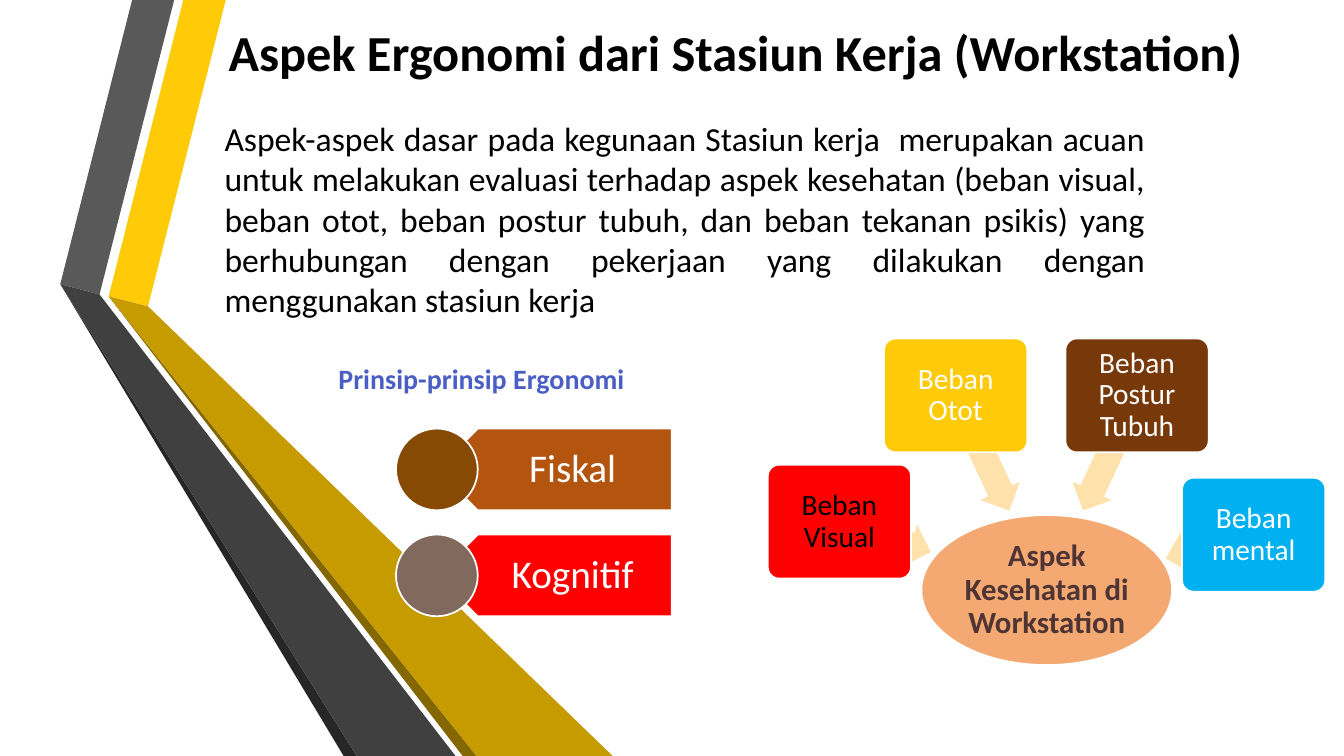
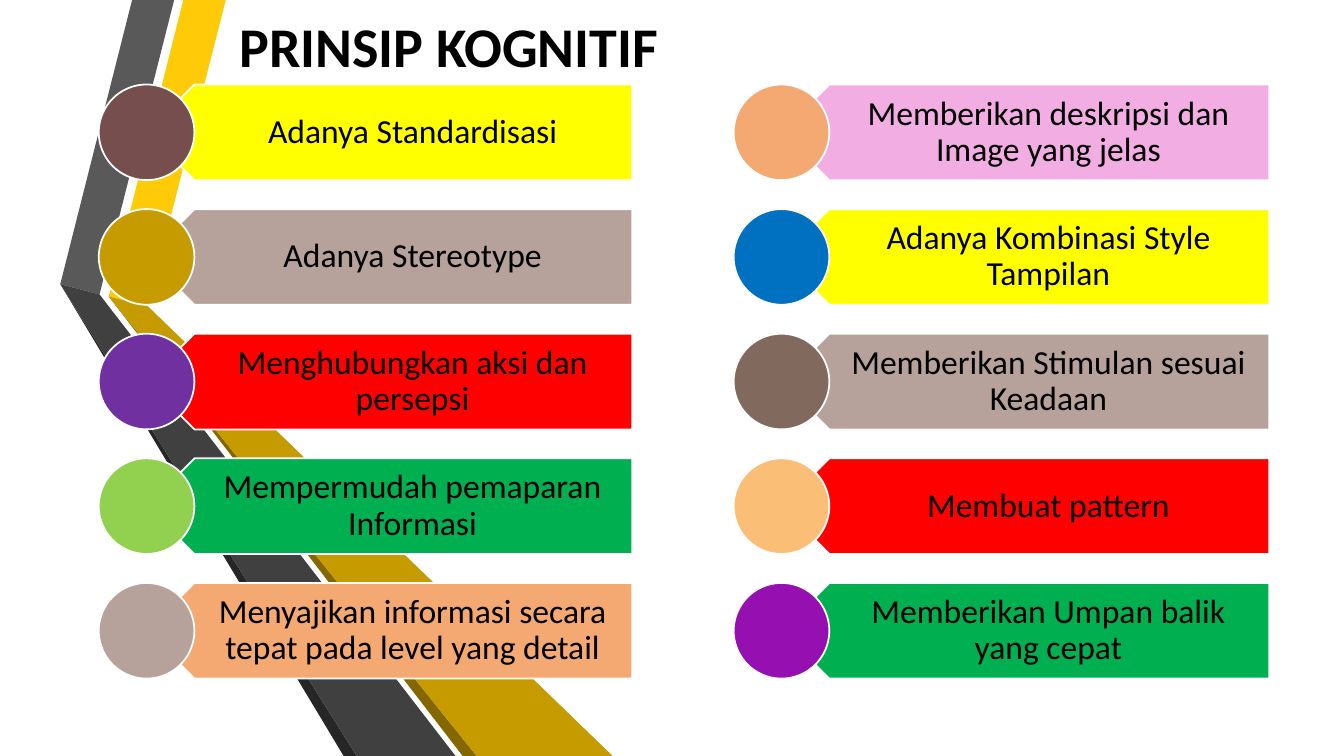
"""Builds two slides on workstation ergonomics and cognitive principles."""
import dataclasses

import pptx
import pptx.dml.color
import pptx.enum.shapes
import pptx.enum.text
import pptx.util

Cm = pptx.util.Cm
Shape = pptx.enum.shapes.MSO_SHAPE
Align = pptx.enum.text.PP_ALIGN
Anchor = pptx.enum.text.MSO_ANCHOR


@dataclasses.dataclass(frozen=True)
class Theme:
    font: str = "Calibri"
    white: str = "FFFFFF"
    black: str = "000000"
    heading: str = "4A5EC6"
    maroon: str = "4F3434"
    red: str = "FF0000"
    yellow: str = "FFFF00"
    green: str = "00B050"
    lime: str = "92D050"
    gold: str = "FFCA08"
    dark_gold: str = "C59B00"
    deep_gold: str = "846700"
    cream: str = "FFE1AB"
    apricot: str = "FBBE77"
    peach: str = "F4A973"
    rust: str = "B3540F"
    brown: str = "77380A"
    umber: str = "864A04"
    plum: str = "764E4E"
    taupe: str = "82695E"
    sand: str = "B6A29A"
    sky: str = "00B0F0"
    blue: str = "0070C0"
    pink: str = "F2AEE3"
    purple: str = "7030A0"
    violet: str = "960FB1"
    gray: str = "595959"
    charcoal: str = "404040"
    shade: str = "262626"
    outline: float = 1.25
    title_size: int = 36
    large_title_size: int = 40
    tag_size: int = 28
    body_size: int = 24
    hub_size: int = 22
    card_size: int = 21
    heading_size: int = 20


class Deck:
    def __init__(self, theme):
        self.theme = theme
        self.presentation = pptx.Presentation()
        self.presentation.slide_width = Cm(33.87)
        self.presentation.slide_height = Cm(19.05)
        self.slide = None

    def add_slide(self):
        layout = self.presentation.slide_layouts[6]
        self.slide = self.presentation.slides.add_slide(layout)
        self.ribbons()

    def ribbons(self):
        theme = self.theme
        gray_bend, gray_corner = (1.52, 7.16), (2.51, 7.42)
        gold_bend, gold_corner = (2.74, 7.47), (3.73, 7.72)
        gray_foot, gold_foot = (8.99, 19.05), (12.01, 19.05)
        for color, points in (
            (theme.gold, (gold_bend, gold_corner, (5.69, 0), (4.62, 0))),
            (theme.gray, (gray_corner, (4.39, 0), (3.33, 0), gray_bend)),
            (theme.shade, (gray_bend, (8.66, 19.05), gray_foot)),
            (theme.deep_gold, (gold_bend, gold_foot, (11.66, 19.05))),
            (theme.dark_gold, (gold_bend, gold_foot, (15.44, 19.05), gold_corner)),
            (theme.charcoal, (gray_bend, gray_foot, (11.48, 19.05), gray_corner)),
        ):
            corners = [(Cm(x), Cm(y)) for x, y in points]
            builder = self.slide.shapes.build_freeform(*corners[0])
            builder.add_line_segments(corners[1:], close=True)
            self.paint(builder.convert_to_shape(), color, outlined=False)

    def paint(self, shape, color, outlined=True):
        shape.shadow.inherit = False
        shape.fill.solid()
        shape.fill.fore_color.rgb = pptx.dml.color.RGBColor.from_string(color)
        if outlined:
            shape.line.color.rgb = pptx.dml.color.RGBColor.from_string(self.theme.white)
            shape.line.width = pptx.util.Pt(self.theme.outline)
        else:
            shape.line.fill.background()

    def figure(self, kind, box, color, rotation=0, outlined=True):
        shape = self.slide.shapes.add_shape(kind, *map(Cm, box))
        shape.rotation = rotation
        self.paint(shape, color, outlined)
        return shape

    def set_text(self, shape, text, size, color, bold=False, align=Align.CENTER,
                 anchor=Anchor.MIDDLE, insets=(0.25, 0.13, 0.25, 0.13), spacing=0.9):
        frame = shape.text_frame
        frame.word_wrap = True
        frame.vertical_anchor = anchor
        frame.margin_left, frame.margin_top, frame.margin_right, frame.margin_bottom = map(Cm, insets)
        paragraph = frame.paragraphs[0]
        paragraph.alignment = align
        paragraph.line_spacing = spacing
        run = paragraph.add_run()
        run.text = text
        run.font.name = self.theme.font
        run.font.size = pptx.util.Pt(size)
        run.font.bold = bold
        run.font.color.rgb = pptx.dml.color.RGBColor.from_string(color)

    def label(self, box, text, size, color, **style):
        self.set_text(self.slide.shapes.add_textbox(*map(Cm, box)), text, size, color, **style)

    def title(self, box, text, size):
        self.label(box, text, size, self.theme.black, bold=True,
                   align=Align.JUSTIFY, anchor=Anchor.BOTTOM, spacing=1)

    def hub(self, box, text):
        shape = self.figure(Shape.OVAL, box, self.theme.peach)
        self.set_text(shape, text, self.theme.hub_size, self.theme.maroon,
                      bold=True, insets=(0.05,) * 4)

    def arrow(self, left, top, length, rotation):
        shape = self.figure(Shape.LEFT_ARROW, (left, top, length, 1.09),
                            self.theme.cream, rotation, outlined=False)
        shape.adjustments[0] = 0.6
        shape.adjustments[1] = 0.5

    def card(self, left, top, text, fill, color):
        shape = self.figure(Shape.ROUNDED_RECTANGLE, (left, top, 3.61, 2.87), fill)
        shape.adjustments[0] = 0.1
        self.set_text(shape, text, self.theme.card_size, color, insets=(0.1,) * 4)

    def tags(self, left, top, diameter, width, pitch, size, color, items):
        plate_left = left + diameter / 2
        indent = diameter / 4
        for index, (text, plate_fill, disc_fill) in enumerate(items):
            y = top + index * pitch
            self.figure(Shape.PENTAGON, (plate_left, y, width, diameter), plate_fill, 180)
            self.label((plate_left + indent, y, width - indent, diameter), text, size, color,
                       insets=(0.44 * diameter, 0.25, 0.5, 0.25))
            self.figure(Shape.OVAL, (left, y, diameter, diameter), disc_fill)


def workstation_slide(deck):
    theme = deck.theme
    deck.add_slide()
    deck.title((5.51, 0.08, 28.35, 2.11),
               "Aspek Ergonomi dari Stasiun Kerja (Workstation)", theme.title_size)
    deck.hub((23.22, 12.98, 6.32, 3.78), "Aspek Kesehatan di Workstation")
    for arrow, card in (
        ((21.08, 12.98, 2.44, 198.3),
         (19.35, 11.71, "Beban Visual", theme.red, theme.black)),
        ((23.16, 10.87, 3.2, 245),
         (22.28, 8.53, "Beban Otot", theme.gold, theme.white)),
        ((26.37, 10.87, 3.2, 295),
         (26.85, 8.53, "Beban Postur Tubuh", theme.brown, theme.white)),
        ((29.34, 13.23, 2.29, 345),
         (29.79, 12.04, "Beban mental", theme.sky, theme.white)),
    ):
        deck.arrow(*arrow)
        deck.card(*card)
    deck.tags(9.98, 10.8, 2.06, 5.92, 2.67, theme.tag_size, theme.white, (
        ("Fiskal", theme.rust, theme.umber),
        ("Kognitif", theme.red, theme.taupe),
    ))
    deck.label((7.92, 8.97, 8.43, 1.12), "Prinsip-prinsip Ergonomi",
               theme.heading_size, theme.heading, bold=True, anchor=Anchor.TOP, spacing=1)
    deck.label(
        (5.41, 2.84, 23.7, 5.38),
        "Aspek-aspek dasar pada kegunaan Stasiun kerja  merupakan acuan untuk melakukan "
        "evaluasi terhadap aspek kesehatan (beban visual, beban otot, beban postur tubuh, "
        "dan beban tekanan psikis) yang berhubungan dengan pekerjaan yang dilakukan dengan "
        "menggunakan stasiun kerja",
        theme.body_size, theme.black, align=Align.JUSTIFY, anchor=Anchor.TOP, spacing=1)


def cognitive_slide(deck):
    theme = deck.theme
    deck.add_slide()
    deck.title((5.79, 0, 19.94, 2.11), "PRINSIP KOGNITIF", theme.large_title_size)
    left_items = (
        ("Adanya Standardisasi", theme.yellow, theme.plum),
        ("Adanya Stereotype", theme.sand, theme.dark_gold),
        ("Menghubungkan aksi dan persepsi", theme.red, theme.purple),
        ("Mempermudah pemaparan Informasi", theme.green, theme.lime),
        ("Menyajikan informasi secara tepat pada level yang detail", theme.peach, theme.sand),
    )
    right_items = (
        ("Memberikan deskripsi dan Image yang jelas", theme.pink, theme.peach),
        ("Adanya Kombinasi Style Tampilan", theme.yellow, theme.blue),
        ("Memberikan Stimulan sesuai Keadaan", theme.sand, theme.taupe),
        ("Membuat pattern", theme.red, theme.apricot),
        ("Memberikan Umpan balik yang cepat", theme.green, theme.violet),
    )
    for left, width, items in ((2.49, 12.24, left_items), (18.49, 12.29, right_items)):
        deck.tags(left, 2.13, 2.41, width, 3.14, theme.body_size, theme.black, items)


def main():
    deck = Deck(Theme())
    workstation_slide(deck)
    cognitive_slide(deck)
    deck.presentation.save("out.pptx")


if __name__ == "__main__":
    main()
